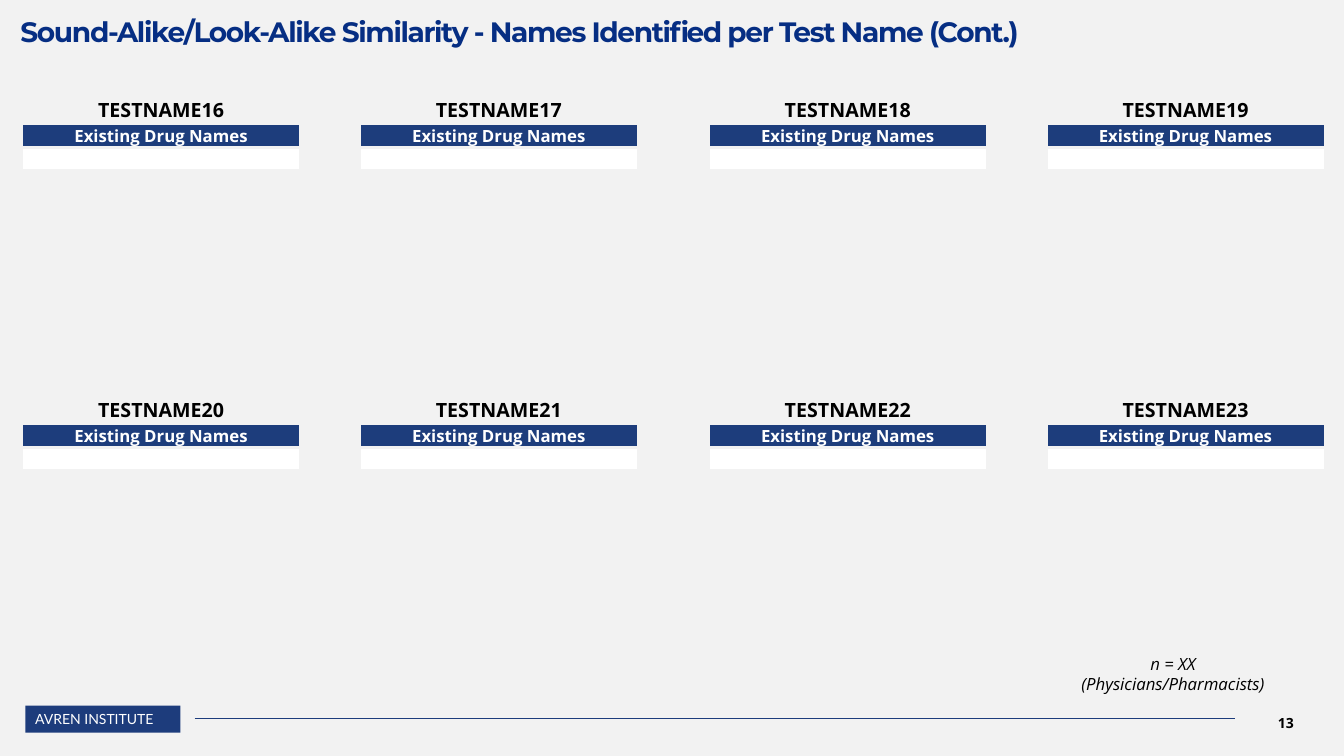
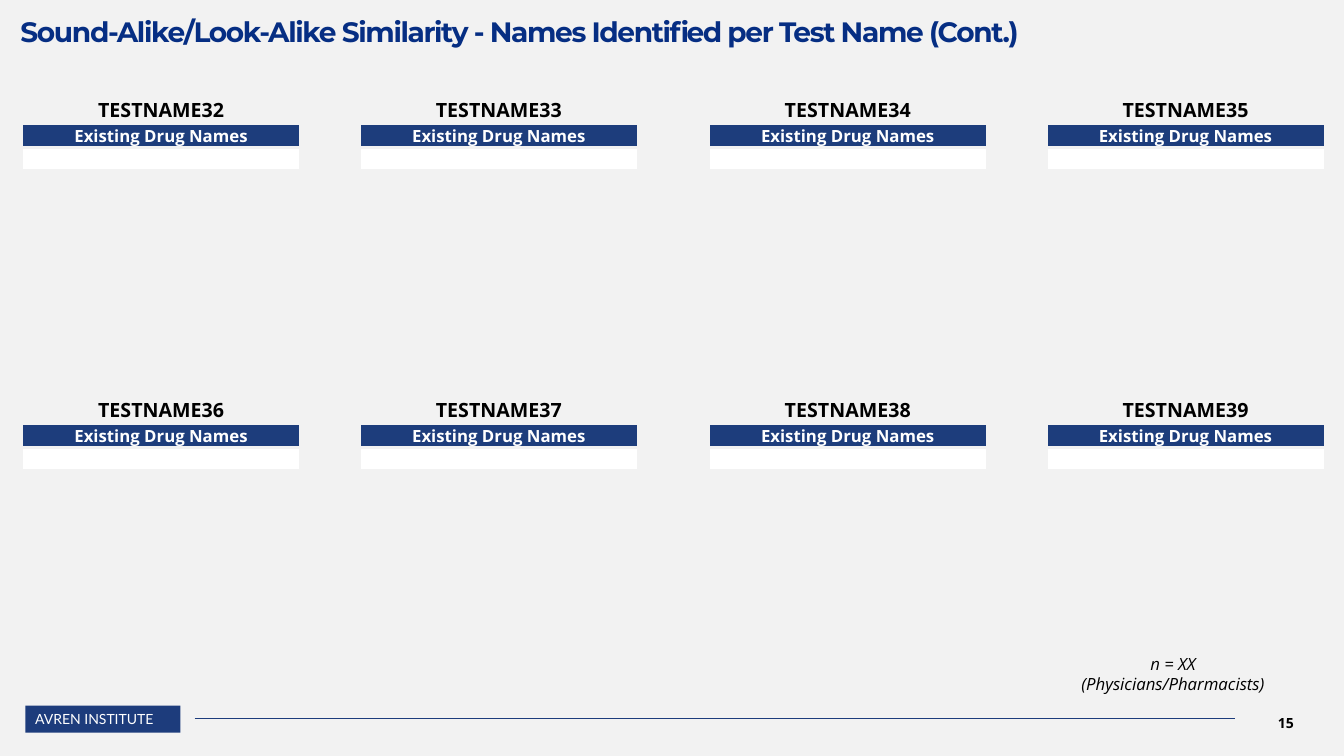
from lxml.etree import SubElement
from pptx import Presentation
from pptx.dml.color import RGBColor
from pptx.enum.shapes import MSO_CONNECTOR, MSO_SHAPE
from pptx.enum.text import MSO_ANCHOR, PP_ALIGN
from pptx.oxml.ns import qn
from pptx.util import Inches, Pt

WIDE, HIGH = Inches(13.33), Inches(7.5)
NAVY, HEAD, BLUE = "1D3C7C", "1D3D7C", "062E83"
PAPER, WHITE, BLACK = "F2F2F2", "FFFFFF", "000000"
SANS = "Open Sans"
TITLE = "Sound-Alike/Look-Alike Similarity - Names Identified per Test Name (Cont.)"
COLS, ROWS = 4, 2
LEFT, TOP = 1.58, 12.67
STEP, DROP, GAP = 25.13, 39.7, 0.83
SPAN = 20.82
TALL = (3.67, 3.16, 3.16)


def paint(text):
    return RGBColor.from_string(text)


def across(share):
    return round(WIDE * share / 100)


def down(share):
    return round(HIGH * share / 100)


def area(x, y, w, h):
    return across(x), down(y), across(w), down(h)


def style(para, size, color, face=SANS, bold=False, slant=False, align=PP_ALIGN.CENTER):
    para.alignment = align
    font = para.font
    font.name, font.size, font.bold, font.italic = face, Pt(size), bold, slant
    font.color.rgb = paint(color)


def pad(item, sides):
    names = ("margin_left", "margin_top", "margin_right", "margin_bottom")
    for name, side in zip(names, sides):
        setattr(item, name, Inches(side))


def label(slide, place, lines, size, color, sides=(0.1, 0.05, 0.1, 0.05),
          anchor=MSO_ANCHOR.TOP, **look):
    frame = slide.shapes.add_textbox(*area(*place)).text_frame
    frame.word_wrap = True
    frame.vertical_anchor = anchor
    pad(frame, sides)
    frame.text = "\n".join(lines)
    for para in frame.paragraphs:
        style(para, size, color, **look)
    return frame


def title(slide):
    frame = label(slide, (1.52, 0, 96.17, 6.4), [TITLE], 20, BLUE, (0, 0.21, 0, 0),
                  face="Montserrat", bold=True, align=PP_ALIGN.LEFT)
    para = frame.paragraphs[0]
    para.line_spacing = 0.8
    para.runs[0]._r.get_or_add_rPr().set("spc", "-100")


def footer(slide, number):
    label(slide, (91.55, 92.93, 8.25, 5.33), [str(number)], 10, BLACK,
          anchor=MSO_ANCHOR.MIDDLE, bold=True)
    band = slide.shapes.add_shape(MSO_SHAPE.RECTANGLE, *area(1.88, 93.33, 11.55, 3.6))
    band.shadow.inherit = False
    band.fill.solid()
    band.fill.fore_color.rgb = paint(NAVY)
    band.line.fill.background()
    frame = band.text_frame
    frame.text = "AVREN INSTITUTE"
    frame.vertical_anchor = MSO_ANCHOR.MIDDLE
    style(frame.paragraphs[0], 10, WHITE, "Lato", align=PP_ALIGN.LEFT)
    y = down(94.99)
    rule = slide.shapes.add_connector(
        MSO_CONNECTOR.STRAIGHT, across(14.48), y, across(91.92), y)
    rule.line.color.rgb = paint(NAVY)
    rule.line.width = Pt(0.5)
    SubElement(rule._element.spPr, qn("a:effectLst"))


def border(cell):
    props = cell._tc.get_or_add_tcPr()
    for side in ("lnL", "lnR", "lnT", "lnB"):
        line = SubElement(props, qn(f"a:{side}"), w=str(Pt(3)))
        fill = SubElement(line, qn("a:solidFill"))
        SubElement(fill, qn("a:srgbClr"), val=PAPER)


def fill(cell, text, size, color, back):
    border(cell)
    if back:
        cell.fill.solid()
        cell.fill.fore_color.rgb = paint(back)
    else:
        cell.fill.background()
    pad(cell, (0.01, 0.01, 0.01, 0))
    cell.vertical_anchor = MSO_ANCHOR.MIDDLE
    if text:
        cell.text = text
        style(cell.text_frame.paragraphs[0], size, color, bold=True)
    else:
        para = cell.text_frame.paragraphs[0]
        SubElement(para._p, qn("a:endParaRPr"), sz=str(size * 100))


def panel(slide, col, row, name):
    x = LEFT + STEP * col + GAP * (col // 2)
    y = TOP + DROP * row
    place = area(x, y, SPAN, sum(TALL))
    table = slide.shapes.add_table(len(TALL), 1, *place).table
    table.first_row = table.horz_banding = False
    cells = (
        (name, 14, BLACK, None),
        ("Existing Drug Names", 12, WHITE, HEAD),
        ("", 10, BLACK, WHITE),
    )
    for i, (high, cell) in enumerate(zip(TALL, cells)):
        table.rows[i].height = down(high)
        fill(table.cell(i, 0), *cell)


def page(deck, number, first):
    slide = deck.slides.add_slide(deck.slide_layouts[6])
    slide.background.fill.solid()
    slide.background.fill.fore_color.rgb = paint(PAPER)
    footer(slide, number)
    title(slide)
    for i in range(COLS * ROWS):
        row, col = divmod(i, COLS)
        panel(slide, col, row, f"TESTNAME{first + i}")
    label(slide, (76.77, 85.8, 21.76, 5.73), ["n = XX", "(Physicians/Pharmacists)"],
          12, BLACK, (0, 0.05, 0.1, 0.05), slant=True)


def main():
    deck = Presentation()
    deck.slide_width, deck.slide_height = WIDE, HIGH
    for number, first in ((13, 16), (15, 32)):
        page(deck, number, first)
    deck.save("out.pptx")


if __name__ == "__main__":
    main()
